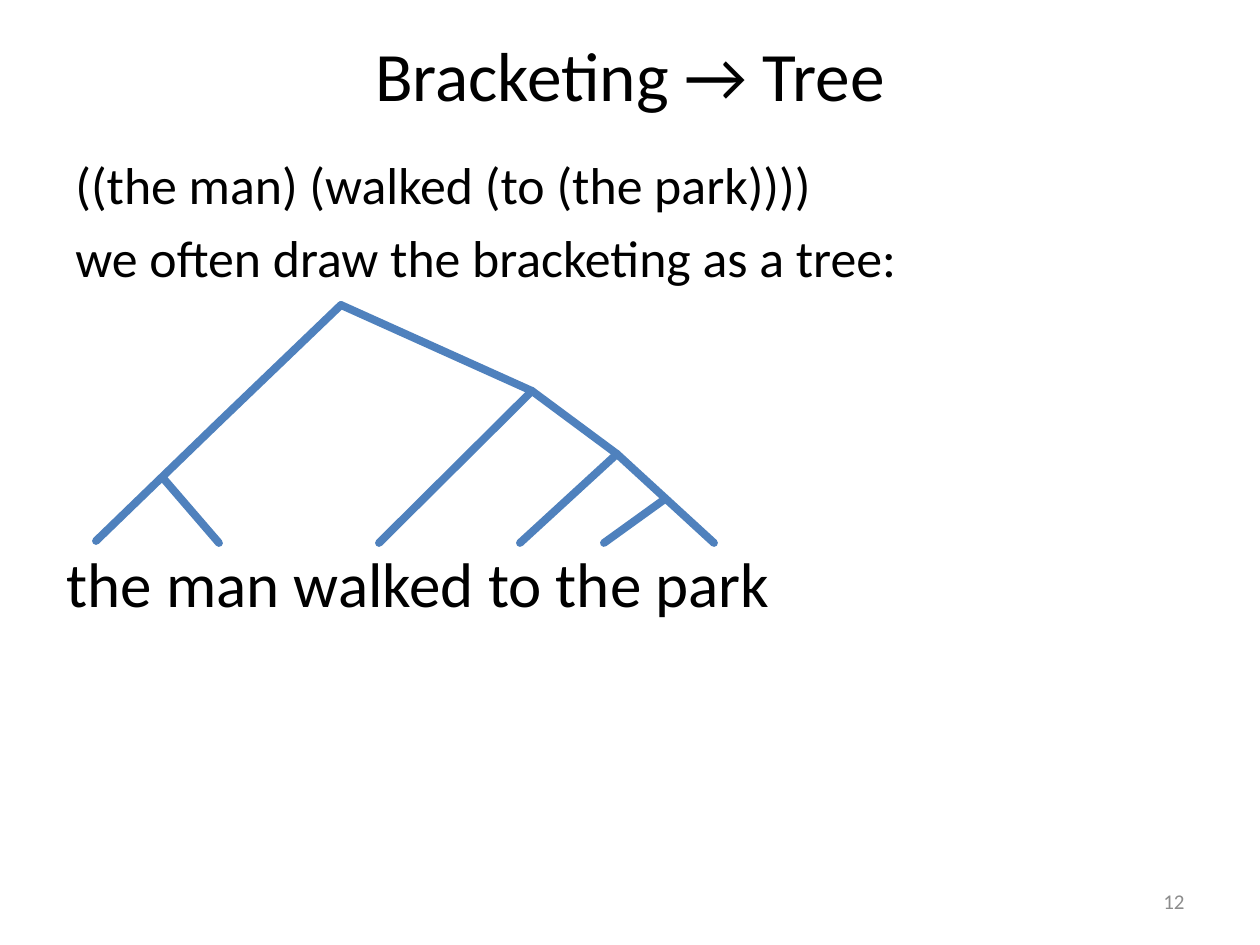
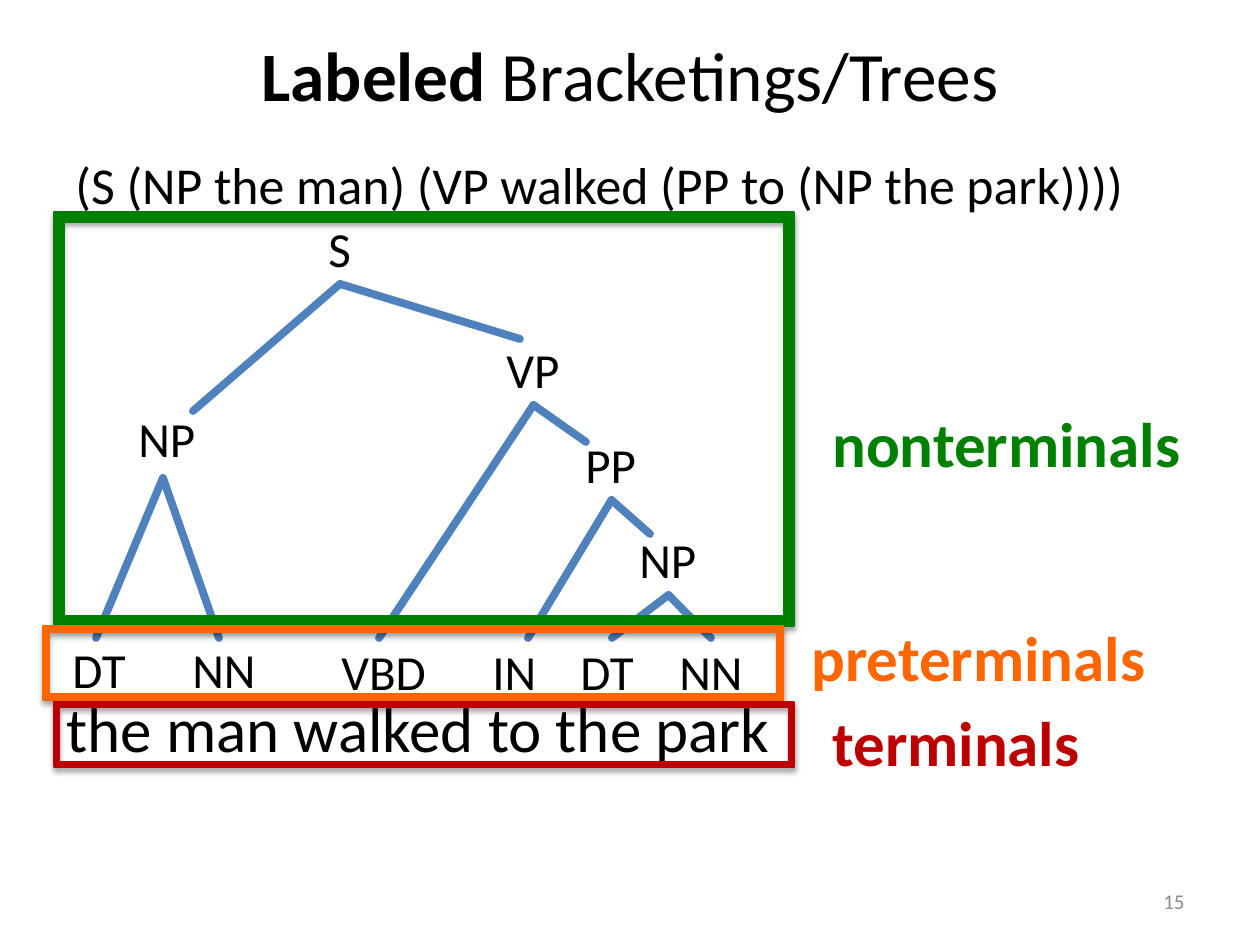
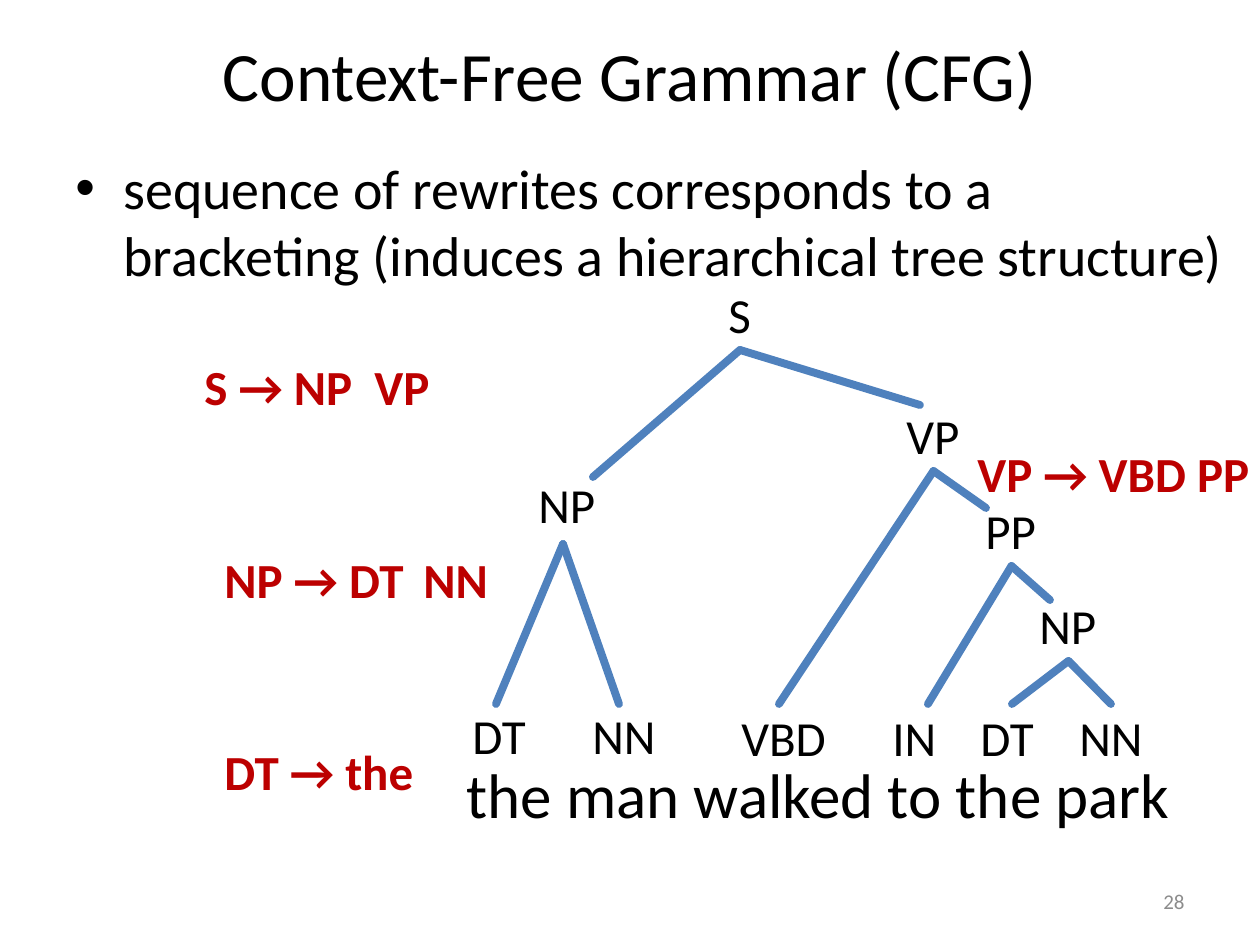
from lxml import etree
from pptx import Presentation
from pptx import util as u
from pptx.dml.color import RGBColor
from pptx.enum import shapes, text
from pptx.oxml.ns import qn

# Shared style
PX = u.Inches(1) // 126
FONT = "Calibri"
BLACK = RGBColor(0x00, 0x00, 0x00)
GREY = RGBColor(0x8C, 0x8C, 0x8C)
BLUE = RGBColor(0x4F, 0x81, 0xBD)
GREEN = RGBColor(0x00, 0x80, 0x00)
ORANGE = RGBColor(0xFF, 0x66, 0x00)
RED = RGBColor(0xBC, 0x00, 0x00)
LEFT, CENTER, RIGHT = text.PP_ALIGN.LEFT, text.PP_ALIGN.CENTER, text.PP_ALIGN.RIGHT
BOTTOM_SIDE = 2
LABEL_HEIGHT = 72
SENTENCE = "the man walked to the park"


def add_xml(parent, tag, **attributes):
    return etree.SubElement(parent, qn(tag), attributes)


def write(para, words, *, size, color=BLACK, bold=False):
    """Add one formatted span to a paragraph."""
    span = para.add_run()
    span.text = words
    font = span.font
    font.name, font.size, font.bold = FONT, u.Pt(size), bold
    font.color.rgb = color


class Deck:
    def __init__(self):
        self.deck = Presentation()
        self.deck.slide_width, self.deck.slide_height = u.Inches(10), u.Inches(7.5)
        self.page = None

    def new_page(self, number, title, bold_lead=""):
        self.page = self.deck.slides.add_slide(self.deck.slide_layouts[6])
        para = self.box(63, 24, 1134, 100, middle=True).text_frame.paragraphs[0]
        para.alignment = CENTER
        if bold_lead:
            write(para, bold_lead, size=39.6, bold=True)
        write(para, title, size=39.6)
        self.text(str(number), 903, 876, 294, 50, size=12, color=GREY,
                  align=RIGHT, middle=True)

    def box(self, left, top, width, height, wrap=True, middle=False):
        box = self.page.shapes.add_textbox(left * PX, top * PX, width * PX, height * PX)
        frame = box.text_frame
        frame.word_wrap = wrap
        frame.auto_size = (text.MSO_AUTO_SIZE.NONE if wrap
                           else text.MSO_AUTO_SIZE.SHAPE_TO_FIT_TEXT)
        frame.vertical_anchor = text.MSO_ANCHOR.MIDDLE if middle else text.MSO_ANCHOR.TOP
        return box

    def text(self, words, left, top, width, height, *, size, color=BLACK, bold=False,
             align=LEFT, wrap=True, middle=False, bullet=False, tabs=()):
        """Add a text box; each line of words becomes a paragraph."""
        box = self.box(left, top, width, height, wrap, middle)
        for index, line in enumerate(words.split("\n")):
            frame = box.text_frame
            para = frame.add_paragraph() if index else frame.paragraphs[0]
            para.alignment = align
            if index:
                para.space_before = u.Pt(size * 0.2)
            settings = para._p.get_or_add_pPr()
            if bullet:
                settings.set("marL", str(48 * PX))
                settings.set("indent", str(-48 * PX))
                add_xml(settings, "a:buFont", typeface="Arial")
                add_xml(settings, "a:buChar", char="•")
            if tabs:
                stops = add_xml(settings, "a:tabLst")
                for stop in tabs:
                    add_xml(stops, "a:tab", pos=str(stop * PX), algn="l")
            write(para, line, size=size, color=color, bold=bold)
        return box

    def body(self, words, height, size=29.6, width=1134, bullet=False):
        self.text(words, 63, 147, width, height, size=size, bullet=bullet)

    def label(self, words, left, top, width, tabs=(), **style):
        return self.text(words, left, top, width, LABEL_HEIGHT, size=28,
                         wrap=bool(tabs), tabs=tabs, **style)

    def sentence(self, left, top):
        self.text(SENTENCE, left, top, 740, 89, size=36, wrap=False)

    def branch(self, start, end, parent=None):
        """Draw a tree edge, joined to the bottom of its parent label if given."""
        x1, y1, x2, y2 = (value * PX for value in (*start, *end))
        line = self.page.shapes.add_connector(shapes.MSO_CONNECTOR.STRAIGHT, x1, y1, x2, y2)
        line.line.color.rgb = BLUE
        line.line.width = u.Pt(4.5)
        properties = line.element.spPr
        properties.find(qn("a:ln")).set("cap", "rnd")
        add_xml(properties, "a:effectLst")
        if parent is not None:
            line.begin_connect(parent, BOTTOM_SIDE)

    def frame(self, left, top, width, height, color, thickness):
        frame = self.page.shapes.add_shape(shapes.MSO_SHAPE.FRAME, left * PX, top * PX,
                                           width * PX, height * PX)
        frame.adjustments[0] = thickness
        frame.fill.solid()
        frame.fill.fore_color.rgb = frame.line.color.rgb = color
        frame.line.width = u.Pt(0.75)
        # Soft shadow below the frame
        frame.shadow.inherit = False
        effects = frame.element.spPr.find(qn("a:effectLst"))
        shadow = add_xml(effects, "a:outerShdw", blurRad=str(u.Pt(3.1)),
                         dist=str(u.Pt(1.8)), dir="5400000", rotWithShape="0")
        shade = add_xml(shadow, "a:srgbClr", val="000000")
        add_xml(shade, "a:alpha", val="35000")

    def labeled_tree(self, dx=0, dy=0):
        """Draw the labeled parse tree, moved by dx and dy."""
        leaf_y = 638
        # Label, left, top, width, branch ends
        nodes = [
            ("S", 316, 212, 48, [(193, 411), (520, 339)]),
            ("VP", 494, 333, 79, [(379, leaf_y), (586, 442)]),
            ("PP", 573, 428, 77, [(528, leaf_y), (650, 534)]),
            ("NP", 627, 523, 83, [(612, leaf_y), (711, leaf_y)]),
        ]
        for name, left, top, width, ends in nodes:
            node = self.label(name, left + dx, top + dy, width)
            start = (left + width // 2 + dx, top + LABEL_HEIGHT + dy)
            for x, y in ends:
                self.branch(start, (x + dx, y + dy), parent=node)
        # The subject's branches start just off its label
        self.label("NP", 126 + dx, 402 + dy, 83)
        for x in (96, 219):
            self.branch((163 + dx, 478 + dy), (x + dx, leaf_y + dy))
        # Preterminals and words
        self.label("DT", 60 + dx, 633 + dy, 79)
        self.label("NN", 180 + dx, 633 + dy, 89)
        self.label("VBD\tIN\tDT\tNN", 329 + dx, 635 + dy, 431, tabs=(151, 239, 338))
        self.sentence(54 + dx, 683 + dy)


def bracketing_page(deck):
    deck.new_page(12, "Bracketing → Tree")
    deck.body("((the man) (walked (to (the park))))\n"
              "we often draw the bracketing as a tree:", 134)
    root, subject, noun_phrase = (341, 305), (218, 423), (163, 478)
    verb_phrase, to_phrase, park_phrase = (532, 391), (617, 454), (665, 499)
    edges = [
        (root, subject), (subject, (96, 541)), (noun_phrase, (219, 543)),
        (root, verb_phrase), (verb_phrase, (379, 543)), (verb_phrase, to_phrase),
        (to_phrase, (520, 543)), (to_phrase, (714, 543)), (park_phrase, (604, 543)),
    ]
    for start, end in edges:
        deck.branch(start, end)
    deck.sentence(54, 538)


def labeled_page(deck):
    deck.new_page(15, "Bracketings/Trees", bold_lead="Labeled ")
    deck.body("(S (NP the man) (VP walked (PP to (NP the park))))", 98)
    deck.labeled_tree()
    # Frame left, top, height and thickness; caption left, top and width
    levels = [
        ("nonterminals", GREEN, (54, 212, 414, 0.024), (820, 398, 378)),
        ("preterminals", ORANGE, (43, 626, 74, 0.088), (799, 612, 365)),
        ("terminals", RED, (54, 702, 65, 0.088), (820, 697, 276)),
    ]
    for name, color, (left, top, height, thickness), (x, y, width) in levels:
        deck.frame(left, top, 740, height, color, thickness)
        deck.text(name, x, y, width, 89, size=36, color=color, bold=True, wrap=False)


def grammar_page(deck):
    deck.new_page(28, "Context-Free Grammar (CFG)")
    deck.body("sequence of rewrites corresponds to a bracketing "
              "(induces a hierarchical tree structure)", 697, size=32, width=1183, bullet=True)
    deck.labeled_tree(dx=400, dy=66)
    # Rewrite rules
    rules = [
        ("S → NP\tVP", 192, 350, 257, (170,)),
        ("NP → DT\tNN", 212, 543, 299, (199,)),
        ("VP → VBD PP", 965, 437, 315, ()),
        ("DT → the", 212, 735, 221, ()),
    ]
    for rule, left, top, width, tabs in rules:
        deck.label(rule, left, top, width, tabs, color=RED, bold=True)


def main():
    deck = Deck()
    bracketing_page(deck)
    labeled_page(deck)
    grammar_page(deck)
    deck.deck.save("out.pptx")


if __name__ == "__main__":
    main()
